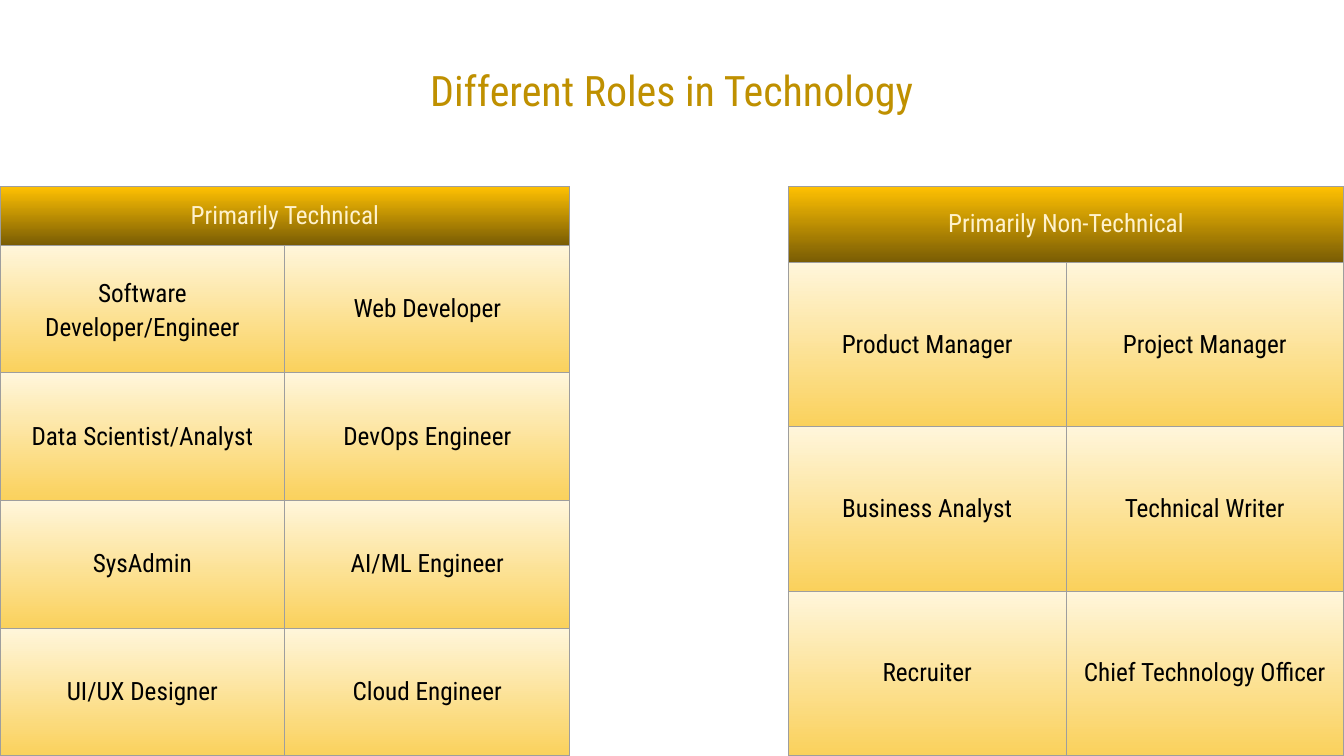
from dataclasses import dataclass

from lxml.etree import SubElement
from pptx import Presentation
from pptx.dml.color import RGBColor
from pptx.enum.text import MSO_VERTICAL_ANCHOR as Anchor, PP_PARAGRAPH_ALIGNMENT as Align
from pptx.oxml.ns import qn
from pptx.slide import Slide
from pptx.table import _Cell as Cell
from pptx.text.text import _Paragraph as Paragraph
from pptx.util import Pt

COLORS = {
    "background": "FFFFFF",
    "title": "BF9000",
    "header_text": "FFF2CC",
    "role_text": "000000",
    "border": "9E9E9E",
    "header_top": "FFC102",
    "header_bottom": "795C04",
    "role_top": "FFF6DB",
    "role_bottom": "FAD15C",
}
FONT = "Roboto Condensed"
SLIDE_WIDTH, SLIDE_HEIGHT = 960, 540
TITLE_HEIGHT = 133.2
CELL_FORMAT = {
    "vertical_anchor": Anchor.MIDDLE,
    "margin_left": Pt(7.2),
    "margin_right": Pt(7.2),
    "margin_top": Pt(7.2),
    "margin_bottom": Pt(7.2),
}
LOOSE_SPACING = {"line_spacing": 1.15, "space_before": Pt(12), "space_after": Pt(12)}


@dataclass
class Role:
    name: str
    spacing: dict


@dataclass
class RoleTable:
    heading: str
    left: float
    column_width: float
    header_height: float
    row_height: float
    rows: list[list[Role]]


def roles(*names: str) -> list[Role]:
    return [Role(name, {}) for name in names]


ROLE_TABLES = [
    RoleTable("Primarily Technical", 0, 203.5, 42, 91.2, [
        [Role("Software Developer/Engineer", LOOSE_SPACING), *roles("Web Developer")],
        roles("Data Scientist/Analyst", "DevOps Engineer"),
        roles("SysAdmin", "AI/ML Engineer"),
        roles("UI/UX Designer", "Cloud Engineer"),
    ]),
    RoleTable("Primarily Non-Technical", 563.2, 198.3, 54.2, 117.4, [
        roles("Product Manager", "Project Manager"),
        roles("Business Analyst", "Technical Writer"),
        roles("Recruiter", "Chief Technology Officer"),
    ]),
]


def color(name: str) -> RGBColor:
    return RGBColor.from_string(COLORS[name])


def apply_format(target: object, values: dict) -> None:
    for attribute, value in values.items():
        setattr(target, attribute, value)


def format_text(paragraph: Paragraph, size: float, color_name: str, spacing: dict) -> None:
    apply_format(paragraph, {"alignment": Align.CENTER, **spacing})
    font = paragraph.runs[0].font
    apply_format(font, {"name": FONT, "size": Pt(size), "bold": False})
    font.color.rgb = color(color_name)


def add_borders(cell: Cell) -> None:
    properties = cell._tc.get_or_add_tcPr()
    for side in ("lnL", "lnR", "lnT", "lnB"):
        line = SubElement(properties, qn(f"a:{side}"), w=str(Pt(0.75)))
        fill = SubElement(line, qn("a:solidFill"))
        SubElement(fill, qn("a:srgbClr"), val=COLORS["border"])


def style_cell(cell: Cell, kind: str) -> None:
    apply_format(cell, CELL_FORMAT)
    add_borders(cell)
    cell.fill.gradient()
    cell.fill.gradient_angle = 270
    for stop, edge in zip(cell.fill.gradient_stops, ("top", "bottom")):
        stop.color.rgb = color(f"{kind}_{edge}")


def fill_cell(cell: Cell, role: Role, kind: str) -> None:
    cell.text = role.name
    format_text(cell.text_frame.paragraphs[0], 18, f"{kind}_text", role.spacing)


def draw_title(slide: Slide) -> None:
    title = slide.shapes.title
    apply_format(title, {"left": 0, "top": 0, "width": Pt(SLIDE_WIDTH), "height": Pt(TITLE_HEIGHT)})
    title.fill.solid()
    title.fill.fore_color.rgb = color("background")
    title.text_frame.text = "Different Roles in Technology"
    title.text_frame.vertical_anchor = Anchor.MIDDLE
    format_text(title.text_frame.paragraphs[0], 30, "title", {"line_spacing": 0.9})


def draw_table(slide: Slide, group: RoleTable) -> None:
    heights = [group.header_height] + [group.row_height] * len(group.rows)
    table = slide.shapes.add_table(
        len(heights), 2, Pt(group.left), Pt(TITLE_HEIGHT),
        Pt(2 * group.column_width), Pt(sum(heights)),
    ).table
    apply_format(table, {"first_row": False, "horz_banding": False})
    for column in table.columns:
        column.width = Pt(group.column_width)
    for row, height in zip(table.rows, heights):
        row.height = Pt(height)
    for cell in table.rows[0].cells:
        style_cell(cell, "header")
    table.cell(0, 0).merge(table.cell(0, 1))
    fill_cell(table.cell(0, 0), Role(group.heading, {}), "header")
    for row_number, row_roles in enumerate(group.rows, start=1):
        for column_number, role in enumerate(row_roles):
            cell = table.cell(row_number, column_number)
            style_cell(cell, "role")
            fill_cell(cell, role, "role")


def main() -> None:
    presentation = Presentation()
    apply_format(presentation, {"slide_width": Pt(SLIDE_WIDTH), "slide_height": Pt(SLIDE_HEIGHT)})
    slide = presentation.slides.add_slide(presentation.slide_layouts.get_by_name("Title Only"))
    draw_title(slide)
    for group in ROLE_TABLES:
        draw_table(slide, group)
    presentation.save("out.pptx")


if __name__ == "__main__":
    main()
